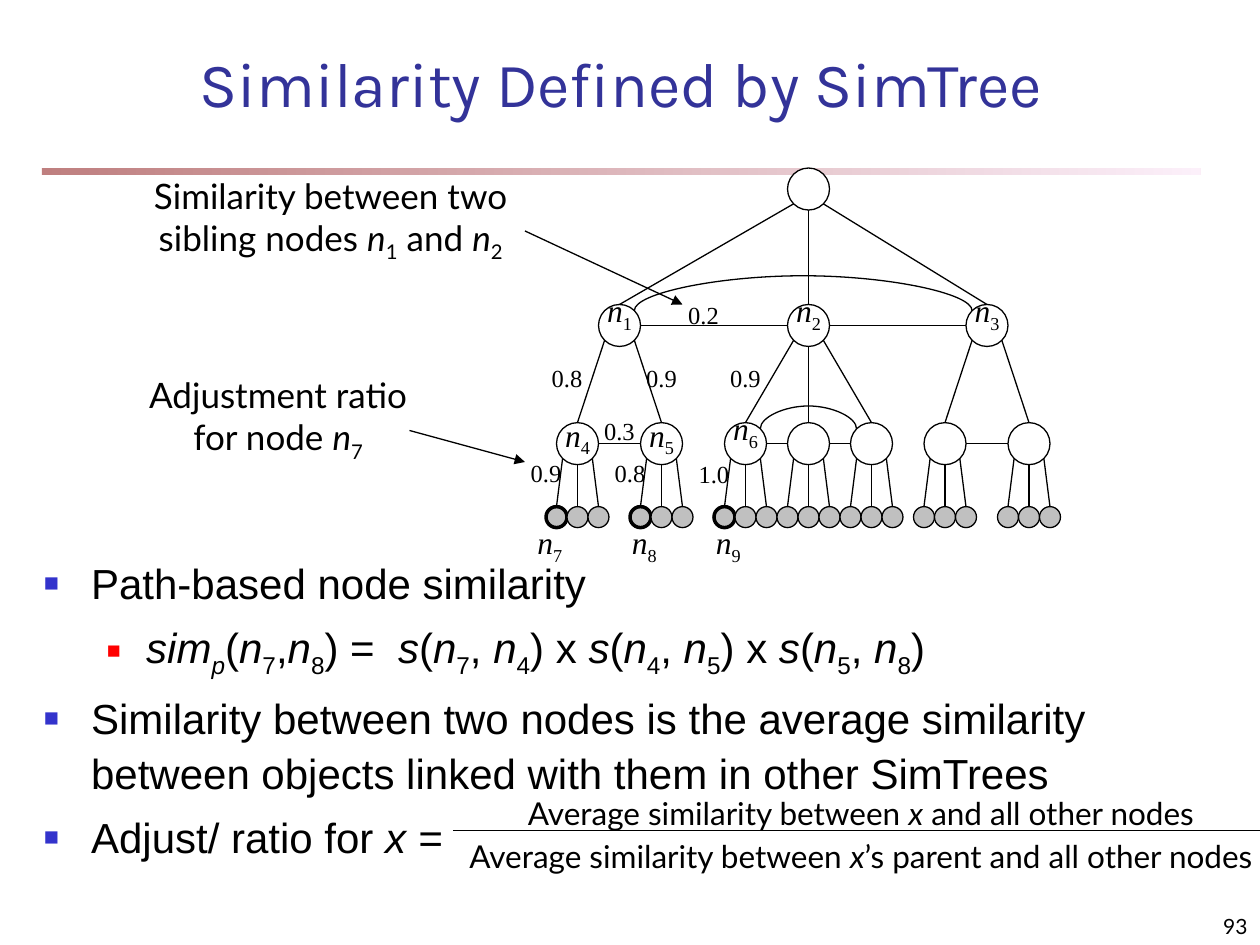
from lxml import etree
from pptx import Presentation
from pptx.dml.color import RGBColor
from pptx.enum.shapes import MSO_CONNECTOR, MSO_SHAPE
from pptx.enum.text import MSO_ANCHOR, PP_ALIGN
from pptx.oxml.ns import qn
from pptx.util import Pt

STRAIGHT, CURVE = MSO_CONNECTOR.STRAIGHT, MSO_CONNECTOR.CURVE
RECT, OVAL = MSO_SHAPE.RECTANGLE, MSO_SHAPE.OVAL
TOP, BOTTOM = MSO_ANCHOR.TOP, MSO_ANCHOR.BOTTOM
LEFT, CENTER, RIGHT = PP_ALIGN.LEFT, PP_ALIGN.CENTER, PP_ALIGN.RIGHT
COLORS = {"ink": "000000", "title": "333399", "node": "FFFFFF", "leaf": "C0C0C0",
          "bullet": "3333CC", "subbullet": "FF0000",
          "bar_start": "800000", "bar_end": "FAE2F6"}
SERIF, SANS, BODY, HEAD = "Times New Roman", "Lato", "Arial", "Karla"


def rgb(name):
    return RGBColor.from_string(COLORS[name])


def add_runs(p, text, size, font, color="ink"):
    """Asterisks enclose italics, underscores enclose subscripts."""
    for i, part in enumerate(text.split("*")):
        for j, piece in enumerate(part.split("_")):
            if not piece:
                continue
            r = p.add_run()
            r.text = piece
            r.font.size = Pt(size)
            r.font.name = font
            r.font.color.rgb = rgb(color)
            r.font.italic = i % 2 == 1
            if j % 2:
                r.font._element.set("baseline", "-25000")


def add_text(s, box, text, size, font, align=CENTER, anchor=TOP, color="ink"):
    tf = s.shapes.add_textbox(*map(Pt, box)).text_frame
    tf.word_wrap = True
    tf.vertical_anchor = anchor
    p = tf.paragraphs[0]
    p.alignment = align
    add_runs(p, text, size, font, color)


def add_line(s, x1, y1, x2, y2, kind=STRAIGHT, arrow=False):
    cn = s.shapes.add_connector(kind, Pt(x1), Pt(y1), Pt(x2), Pt(y2))
    cn.line.color.rgb = rgb("ink")
    cn.line.width = Pt(0.75)
    if arrow:
        etree.SubElement(cn.line._get_or_add_ln(), qn("a:tailEnd"), type="triangle")
    etree.SubElement(cn._element.spPr, qn("a:effectLst"))
    return cn


def add_arc(s, x1, x2, y, rise):
    mid, half, thin = (x1 + x2) / 2, (x2 - x1) / 2, 0.12
    cn = add_line(s, mid - thin / 2, y - half, mid + thin / 2, y + half, CURVE)
    xfrm = cn._element.spPr.find(qn("a:xfrm"))
    xfrm.set("rot", "5400000")
    xfrm.set("flipV", "1")
    geom = cn._element.spPr.find(qn("a:prstGeom"))
    av = geom.find(qn("a:avLst"))
    if av is None:
        av = etree.SubElement(geom, qn("a:avLst"))
    etree.SubElement(av, qn("a:gd"), name="adj1", fmla=f"val {round(-rise / thin * 100000)}")


def add_node(s, cx, cy, radius, fill, label="", width=0.75, pad=3.6):
    sp = s.shapes.add_shape(OVAL, Pt(cx - radius), Pt(cy - radius),
                            Pt(2 * radius), Pt(2 * radius))
    sp.shadow.inherit = False
    sp.fill.solid()
    sp.fill.fore_color.rgb = rgb(fill)
    sp.line.color.rgb = rgb("ink")
    sp.line.width = Pt(width)
    if label:
        tf = sp.text_frame
        tf.word_wrap = False
        tf.vertical_anchor = BOTTOM
        tf.margin_left = tf.margin_right = Pt(7.2)
        tf.margin_top = tf.margin_bottom = Pt(pad)
        tf.paragraphs[0].alignment = CENTER
        add_runs(tf.paragraphs[0], label, 18, SERIF)


def add_header(s, left, top, width):
    bar = s.shapes.add_shape(RECT, Pt(left), Pt(top + 72), Pt(662), Pt(4))
    bar.shadow.inherit = False
    bar.line.fill.background()
    bar.fill.gradient()
    bar.fill.gradient_angle = 0
    for stop, name in zip(bar.fill.gradient_stops, ("bar_start", "bar_end")):
        stop.color.rgb = rgb(name)
    for clr in bar._element.spPr.iter(qn("a:srgbClr")):
        etree.SubElement(clr, qn("a:alpha"), val="50000")
    add_text(s, (left + 6, top, width, 48), "Similarity Defined by SimTree",
             36, HEAD, anchor=BOTTOM, color="title")


def add_tree(s, left, top):
    root = (left + 150, top + 12)
    mid_y, low_y, leaf_y = top + 90, top + 157.5, top + 199.5
    R, r, d = 12, 6, 8.5
    branches = [(42, "*n*_1_", [(18, "*n*_4_"), (66, "*n*_5_")]),
                (150, "*n*_2_", [(114, "*n*_6_"), (150, ""), (186, "")]),
                (252, "*n*_3_", [(228, ""), (276, "")])]
    marked = {18, 66, 114}

    def link(x, y, child_x, child_top):
        side = (child_x > x) - (child_x < x)
        add_line(s, x + side * d, y + (d if side else R), child_x, child_top)

    def join(xs, y):
        for a, b in zip(xs, xs[1:]):
            add_line(s, a + R, y, b - R, y)

    mids = [left + b[0] for b in branches]
    join(mids, mid_y)
    add_arc(s, mids[0] + d, mids[-1] - d, mid_y - d, 21)
    for dx, name, children in branches:
        x = left + dx
        link(*root, x, mid_y - R)
        lows = [left + c[0] for c in children]
        join(lows, low_y)
        if len(lows) > 2:
            add_arc(s, lows[0] + d, lows[-1] - d, low_y - d, 13.7)
        for low_x, (low_dx, low_name) in zip(lows, children):
            link(x, mid_y, low_x, low_y - R)
            for step in (-12, 0, 12):
                link(low_x, low_y, low_x + step, leaf_y - r)
                bold = step < 0 and low_dx in marked
                add_node(s, low_x + step, leaf_y, r, "leaf", width=2 if bold else 0.75)
            add_node(s, low_x, low_y, R, "node", low_name,
                     pad=0 if name == "*n*_1_" else 3.6)
        add_node(s, x, mid_y, R, "node", name)
    add_node(s, *root, R, "node")

    for text, dx, dy in [("0.2", 72, 72), ("0.8", -6, 108), ("0.9", 48, 108),
                         ("0.9", 96, 108), ("0.3", 24, 138), ("0.9", -18, 162),
                         ("0.8", 30, 162), ("1.0", 78, 163)]:
        add_text(s, (left + dx, top + dy, 36, 24), text, 14, SERIF)
    for number, dx in ((7, -12), (8, 42), (9, 90)):
        add_text(s, (left + dx, top + 199.5, 30, 29), f"*n*_{number}_", 18, SERIF, LEFT)


def add_callouts(s, left, top):
    add_text(s, (left, top, 246, 55),
             "Similarity between two sibling nodes *n*_1_ and *n*_2_", 20, SANS)
    add_line(s, left + 234, top + 36, left + 324, top + 78, arrow=True)
    add_text(s, (left, top + 114, 186, 55), "Adjustment ratio for node *n*_7_", 20, SANS)
    add_line(s, left + 168, top + 150, left + 234, top + 168, arrow=True)


def add_body(s, left, top, width, height):
    tf = s.shapes.add_textbox(Pt(left), Pt(top), Pt(width), Pt(height)).text_frame
    tf.word_wrap = True
    items = [(0, "Path-based node similarity"),
             (1, "*sim_p_*(*n*_7_,*n*_8_) =  *s*(*n*_7_, *n*_4_) x "
                 "*s*(*n*_4_, *n*_5_) x* s*(*n*_5_, *n*_8_)"),
             (0, "Similarity between two nodes is the average similarity "
                 "between objects linked with them in other SimTrees"),
             (0, "Adjust/ ratio for *x =*")]
    styles = [(27, 27, "bullet", "60000"), (58.5, 22.5, "subbullet", "55000")]
    for i, (level, text) in enumerate(items):
        p = tf.paragraphs[0] if i == 0 else tf.add_paragraph()
        margin, hang, color, size = styles[level]
        p.level = level
        p.line_spacing = 1.1
        if i:
            p.space_before = Pt(4.8)
        pPr = p._p.get_or_add_pPr()
        pPr.set("marL", str(Pt(margin)))
        pPr.set("indent", str(-Pt(hang)))
        etree.SubElement(etree.SubElement(pPr, qn("a:buClr")), qn("a:srgbClr"),
                         val=COLORS[color])
        etree.SubElement(pPr, qn("a:buSzPct"), val=size)
        etree.SubElement(pPr, qn("a:buFont"), typeface=BODY)
        etree.SubElement(pPr, qn("a:buChar"), char="■")
        add_runs(p, text, 24, BODY)


def add_fraction(s, left, top, width):
    add_line(s, left + 7, top + 24.5, 720, top + 24.5)
    add_text(s, (left, top, width, 24),
             "Average similarity between *x* and all other nodes", 18, SANS)
    add_text(s, (left, top + 24.5, width, 42),
             "Average similarity between *x*’s parent and all other nodes", 18, SANS)


def main():
    prs = Presentation()
    prs.slide_width, prs.slide_height = Pt(720), Pt(540)
    s = prs.slides.add_slide(prs.slide_layouts[6])
    add_header(s, 24, 24, 650)
    add_body(s, 18, 312, 690, 204)
    add_tree(s, 312, 96)
    add_callouts(s, 66, 96)
    add_fraction(s, 252, 450, 480)
    add_text(s, (570, 510, 150, 30), "93", 12, SANS, RIGHT, BOTTOM)
    prs.save("out.pptx")


if __name__ == "__main__":
    main()
